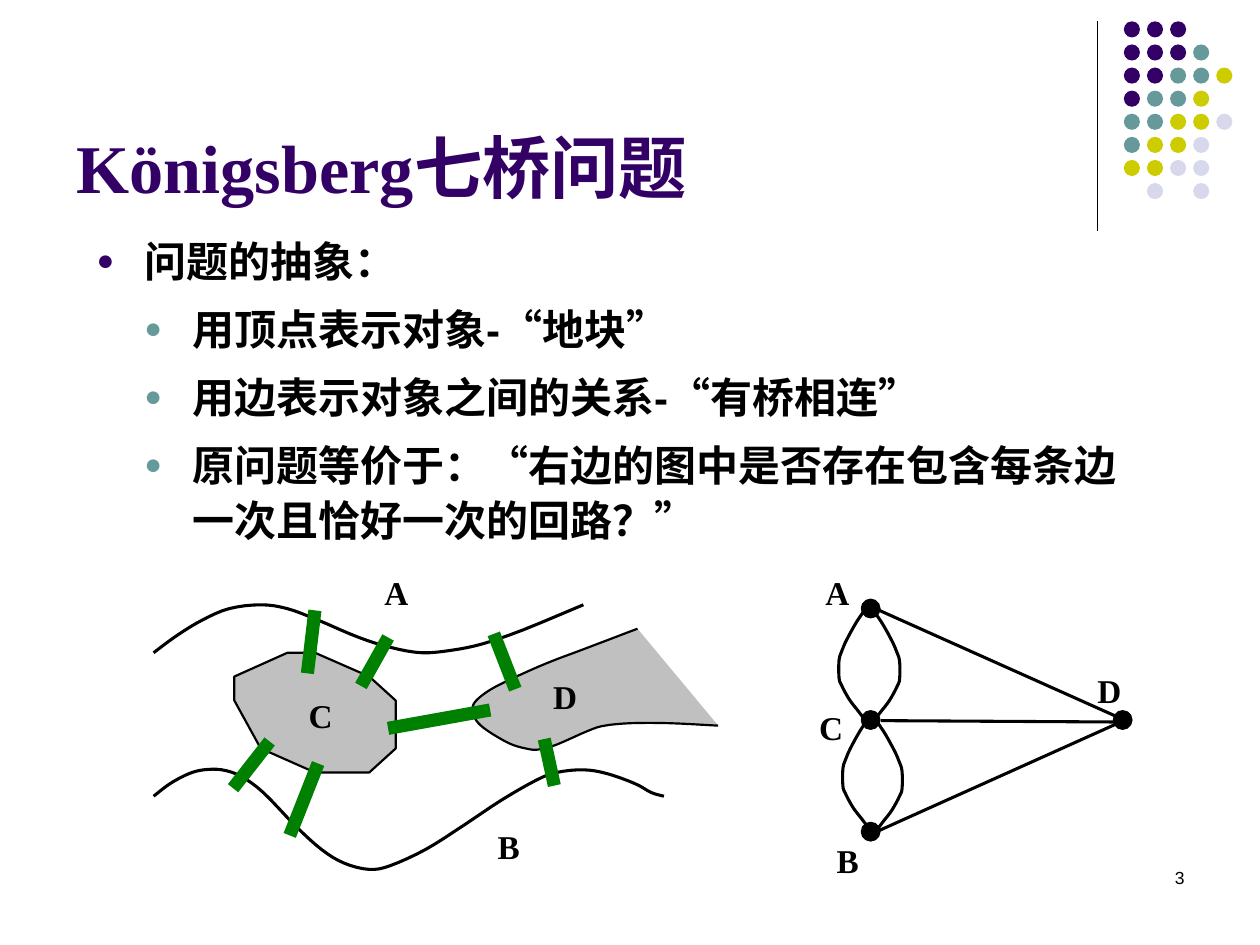
"""Build a slide on the seven bridges of Königsberg."""
import math

import lxml.etree
import pptx
import pptx.dml.color
import pptx.enum.shapes
import pptx.enum.text
import pptx.oxml.ns
import pptx.util

Pt = pptx.util.Pt
qn = pptx.oxml.ns.qn
ALIGN = pptx.enum.text.PP_ALIGN
ANCHOR = pptx.enum.text.MSO_ANCHOR

BLACK, GREY, GREEN = "000000", "C0C0C0", "008000"
PURPLE, TEAL, LIME, PALE = "330066", "669999", "CCCC00", "D8D8EC"
SERIF, SANS = "Times New Roman", "Arial"

DOTS = ["PPP", "PPPT", "PPTTL", "PTTL", "TTLLW", "TLLW", "LLWW", " W W"]
TINTS = {"P": PURPLE, "T": TEAL, "L": LIME, "W": PALE}

BODY = [
    (0, "问题的抽象："),
    (1, "用顶点表示对象-“地块”"),
    (1, "用边表示对象之间的关系-“有桥相连”"),
    (1, "原问题等价于：“右边的图中是否存在包含每条边一次且恰好一次的回路？”"),
]

NORTH = [
    (87.8, 373), (101.5, 362.9), (115.9, 354.2), (131, 347.8), (149, 345.6),
    (164.2, 347.8), (181.4, 354.2), (205.2, 364.3), (223.9, 370.1),
    (241.2, 373), (258.5, 371.5), (275.8, 367.9), (298.8, 360), (333.4, 345.6),
]
SOUTH = [
    (87.8, 455), (97.2, 447.8), (108, 442.1), (116.6, 439.9), (126.7, 439.9),
    (137.5, 443.5), (150.5, 452.9), (168.5, 471.6), (183.6, 485.3),
    (196.6, 493.2), (211, 496.8), (223.2, 494.6), (243.4, 485.3),
    (265, 471.6), (286.6, 457.2), (306.7, 445.7), (318.2, 441.4),
    (333.4, 439.9), (347, 442.1), (362.9, 447.8), (372.2, 452.9), (379.4, 455),
]
EAST = [
    (364.3, 359.3), (334.1, 370.8), (313.2, 378.7), (295.2, 386.6),
    (280.8, 393.8), (272.2, 400.3), (270, 405.4), (272.2, 411.8),
    (278.6, 417.6), (290.9, 424.8), (300.2, 427.7), (307.4, 428.4),
    (318.2, 425.5), (336.2, 417.6), (345.6, 414.7), (360.7, 413.3),
    (382.3, 413.3), (410.4, 414.7),
]
ISLE = [
    (164.2, 373), (133.9, 386.6), (133.9, 400.3), (149, 427.7), (180, 441.4),
    (211, 441.4), (226.1, 427.7), (226.1, 400.3), (211, 386.6), (180, 373),
]
BRIDGES = [
    (180, 348.8, 175.7, 384.8), (221.8, 364.3, 206.3, 392),
    (154.1, 423.7, 133.2, 450.4), (181.8, 436.3, 165.6, 477.4),
    (282.2, 362.2, 294.5, 393.8), (311, 422.3, 316.8, 448.9),
    (221.8, 416.2, 280.1, 405.7),
]
BOW = [
    (0, 0), (4.3, 6.5), (9.4, 15.8), (12.2, 22.3), (13.7, 27.4),
    (13.7, 37.4), (12.2, 41.8), (7.9, 49.7), (2.9, 56.2), (0, 60),
]
BOWS = [(493.2, 349.9, -1), (500.4, 350.6, 1), (495.4, 411.8, -1), (501.8, 413.3, 1)]
NODES = [(492.5, 342.7), (492.5, 406.4), (492.5, 470.2), (636.5, 406.4)]
EDGES = [
    (501.8, 348.5, 638.6, 409.7), (503.3, 411.8, 639.4, 412.6),
    (502.6, 474.5, 637.2, 414),
]
LABELS = [
    ("C", 176.4, 397.4), ("D", 316.1, 386.6), ("A", 219.6, 326.9),
    ("B", 284.4, 472.3), ("A", 471.6, 326.9), ("C", 468, 403.9),
    ("B", 478.1, 480.2), ("D", 627.1, 383),
]


def tint(code):
    """Turn a hex string into a colour."""
    return pptx.dml.color.RGBColor.from_string(code)


def paint(shape, fill=None, line=None, width=1.25):
    """Set the fill and line of a shape and drop its shadow."""
    shape.shadow.inherit = False
    if fill:
        shape.fill.solid()
        shape.fill.fore_color.rgb = tint(fill)
    else:
        shape.fill.background()
    if line:
        shape.line.color.rgb = tint(line)
        shape.line.width = Pt(width)
    else:
        shape.line.fill.background()


def dot(slide, left, top, size, fill, line=None):
    """Add a round dot."""
    oval = pptx.enum.shapes.MSO_SHAPE.OVAL
    shape = slide.shapes.add_shape(oval, Pt(left), Pt(top), Pt(size), Pt(size))
    paint(shape, fill, line)


def rule(slide, ends, width):
    """Add a straight black line."""
    kind = pptx.enum.shapes.MSO_CONNECTOR.STRAIGHT
    line = slide.shapes.add_connector(kind, *[Pt(end) for end in ends])
    line.line.color.rgb = tint(BLACK)
    line.line.width = Pt(width)
    lxml.etree.SubElement(line._element.spPr, qn("a:effectLst"))


def smooth(knots, steps=4):
    """Run a Catmull-Rom curve through the knots."""
    ends = [knots[0], *knots, knots[-1]]
    curve = [knots[0]]
    for a, b, c, d in zip(ends, ends[1:], ends[2:], ends[3:]):
        for step in range(1, steps + 1):
            t = step / steps
            curve.append(tuple(
                q + t / 2 * (r - p + t * (2 * p - 5 * q + 4 * r - s
                                          + t * (3 * (q - r) + s - p)))
                for p, q, r, s in zip(a, b, c, d)))
    return curve


def draw(slide, dots, close=False, **style):
    """Add an outline through a list of points."""
    marks = [(Pt(x), Pt(y)) for x, y in dots]
    pen = slide.shapes.build_freeform(*marks[0])
    pen.add_line_segments(marks[1:], close=close)
    paint(pen.convert_to_shape(), **style)


def bridge(slide, x1, y1, x2, y2, half=3.75):
    """Add a green bar between two points."""
    span = math.hypot(x2 - x1, y2 - y1)
    dx, dy = half * (y2 - y1) / span, half * (x1 - x2) / span
    quad = [(x1 + dx, y1 + dy), (x1 - dx, y1 - dy),
            (x2 - dx, y2 - dy), (x2 + dx, y2 + dy)]
    draw(slide, quad, True, fill=GREEN)


def style(para, face, size, color=BLACK, bold=True):
    """Set the font of a paragraph."""
    font = para.font
    font.name, font.size, font.bold = face, Pt(size), bold
    font.color.rgb = tint(color)


def frame(slide, left, top, width, height):
    """Add a wrapping text box and return its frame."""
    box = slide.shapes.add_textbox(Pt(left), Pt(top), Pt(width), Pt(height))
    box.text_frame.word_wrap = True
    return box.text_frame


def label(slide, text, left, top):
    """Add a one-letter label."""
    area = frame(slide, left, top, 13.7, 23)
    area.word_wrap = False
    area.margin_left = area.margin_right = 0
    area.margin_top = area.margin_bottom = 0
    area.paragraphs[0].text = text
    style(area.paragraphs[0], SERIF, 19)


def bullet(para, level):
    """Give a paragraph its indent and coloured bullet."""
    props = para._p.get_or_add_pPr()
    props.set("marL", str(Pt(27.3 * (level + 1))))
    props.set("indent", str(Pt(-27.3)))
    color = lxml.etree.SubElement(props, qn("a:buClr"))
    lxml.etree.SubElement(color, qn("a:srgbClr"), val=(PURPLE, TEAL)[level])
    lxml.etree.SubElement(props, qn("a:buSzPct"), val="70000")
    lxml.etree.SubElement(props, qn("a:buFont"), typeface=SANS)
    lxml.etree.SubElement(props, qn("a:buChar"), char="●")


def body(slide):
    """Add the bulleted text."""
    area = frame(slide, 48.2, 128.2, 612, 198.7)
    for i, (level, text) in enumerate(BODY):
        para = area.add_paragraph() if i else area.paragraphs[0]
        para.text, para.level = text, level
        bullet(para, level)
        para.line_spacing, para.space_before = 1.1, Pt(7.2)
        style(para, SANS, 24)


def main():
    """Build and save the slide."""
    deck = pptx.Presentation()
    deck.slide_width, deck.slide_height = Pt(720), Pt(540)
    slide = deck.slides.add_slide(deck.slide_layouts[6])
    rule(slide, (627.1, 12.2, 627.1, 131.8), 0.75)
    for row, keys in enumerate(DOTS):
        for col, key in enumerate(keys):
            if key in TINTS:
                dot(slide, 642.2 + 13.2 * col, 12.2 + 13.2 * row, 9.2, TINTS[key])
    title = frame(slide, 36.7, 31.7, 612, 90)
    title.vertical_anchor = ANCHOR.BOTTOM
    title.paragraphs[0].text = "Königsberg七桥问题"
    style(title.paragraphs[0], SERIF, 39, PURPLE)
    body(slide)
    for bank in (NORTH, SOUTH):
        draw(slide, smooth(bank), line=BLACK, width=1.75)
    draw(slide, smooth(EAST), True, fill=GREY)
    draw(slide, smooth(EAST), line=BLACK)
    draw(slide, ISLE, True, fill=GREY, line=BLACK)
    for ends in BRIDGES:
        bridge(slide, *ends)
    for left, top in NODES:
        dot(slide, left, top, 10.1, BLACK, BLACK)
    for ends in EDGES:
        rule(slide, ends, 1.75)
    for left, top, side in BOWS:
        knots = [(left + side * x, top + y) for x, y in BOW]
        draw(slide, smooth(knots), line=BLACK, width=1.75)
    for mark in LABELS:
        label(slide, *mark)
    page = frame(slide, 516.2, 491.8, 167.8, 36).paragraphs[0]
    page.text, page.alignment = "3", ALIGN.RIGHT
    style(page, SANS, 10, bold=False)
    deck.save("out.pptx")


if __name__ == "__main__":
    main()
